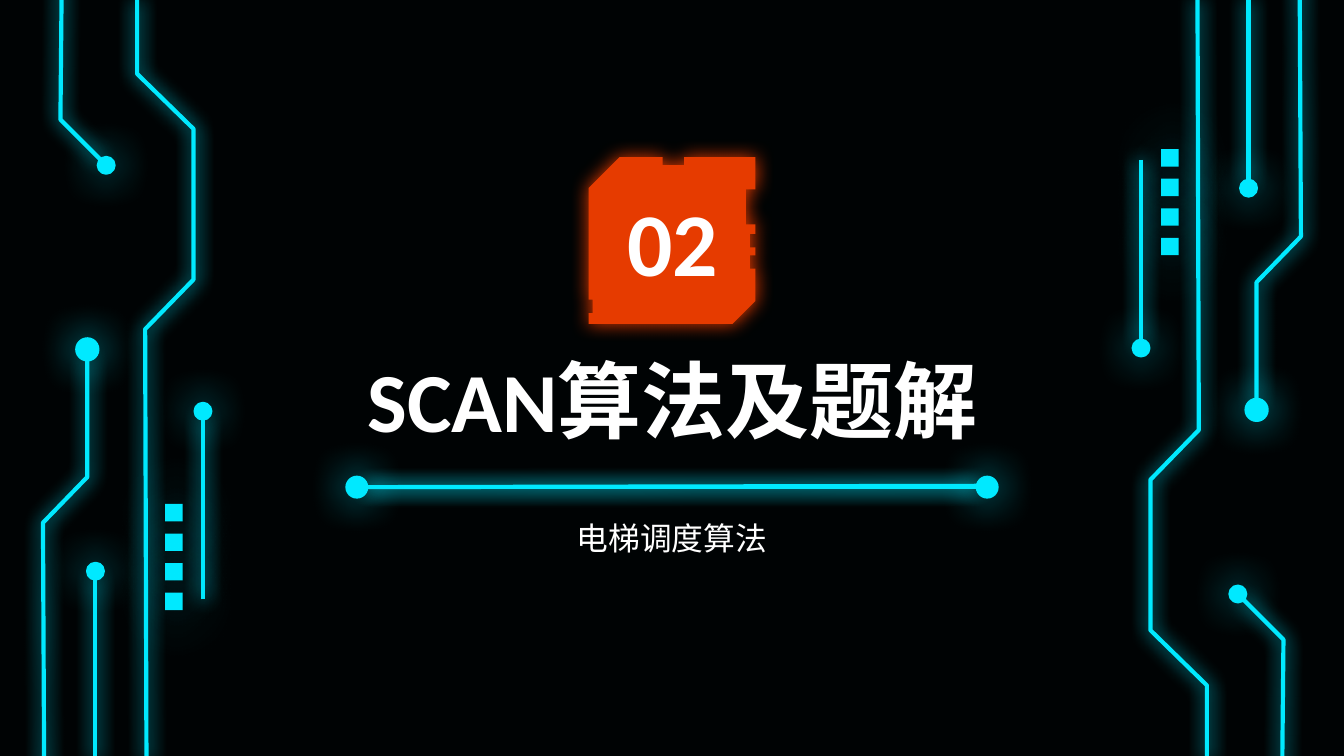
from lxml import etree
from pptx import Presentation
from pptx.dml.color import RGBColor
from pptx.enum import shapes, text
from pptx.oxml import ns
from pptx.util import Inches, Pt

COLORS = {"bg": "000304", "neon": "00E9FF", "badge": "E63B00", "text": "FFFFFF"}

# Circuit parts, relative to the left circuit box
TRACES = [
    [(1.09, 5.66), (1.08, 2.45), (1.44, 2.08), (1.44, 0.96), (1.02, 0.55), (1.02, 0)],
    [(0.71, 5.66), (0.71, 4.29)],
    [(0.46, -0.17), (0.45, 0.89), (0.75, 1.19)],
    [(0.33, 5.96), (0.32, 3.89), (0.65, 3.55), (0.65, 2.66)],
    [(1.51, 4.46), (1.51, 3.1)],
]
NODES = [(0.65, 2.6, 0.16), (0.79, 1.23, 0.12), (1.51, 3.06, 0.12), (0.71, 4.25, 0.12)]
PAD_X, PAD_Y, PAD_SIZE, PAD_STEP, PAD_COUNT = 1.23, 3.75, 0.13, 0.22, 4

BADGE = [
    (0.23, 0), (0, 0.23), (0, 1.06), (0.03, 1.06), (0.03, 1.16), (0, 1.16),
    (0, 1.24), (1.07, 1.24), (1.24, 1.07), (1.24, 0.83), (1.2, 0.83),
    (1.2, 0.73), (1.24, 0.73), (1.24, 0.67), (1.2, 0.67), (1.2, 0.57),
    (1.24, 0.57), (1.24, 0.5), (1.17, 0.5), (1.17, 0.24), (1.24, 0.24),
    (1.24, 0), (0.71, 0), (0.71, 0.06), (0.55, 0.06), (0.55, 0),
]


def rgb(name):
    return RGBColor.from_string(COLORS[name])


def glow(sp, color="neon", blur=10.1, alpha=100, dist=0):
    """Give a shape a coloured soft shadow; blur and dist are in points."""
    spPr = sp._element.spPr
    for old in spPr.findall(ns.qn("a:effectLst")):
        spPr.remove(old)
    effects = etree.SubElement(spPr, ns.qn("a:effectLst"))
    shadow = etree.SubElement(effects, ns.qn("a:outerShdw"), blurRad=str(Pt(blur)),
                              dist=str(Pt(dist)), dir="0", algn="ctr", rotWithShape="0")
    clr = etree.SubElement(shadow, ns.qn("a:srgbClr"), val=COLORS[color])
    etree.SubElement(clr, ns.qn("a:alpha"), val=str(alpha * 1000))


def outline(sp, width=2.25):
    sp.line.color.rgb = rgb("neon")
    sp.line.width = Pt(width)


def fill(sp, color="neon"):
    sp.fill.solid()
    sp.fill.fore_color.rgb = rgb(color)


def add_freeform(s, points, close):
    (x, y), *rest = [(Inches(px), Inches(py)) for px, py in points]
    builder = s.shapes.build_freeform(x, y)
    builder.add_line_segments(rest, close=close)
    return builder.convert_to_shape()


def add_trace(s, points):
    if len(points) == 2:
        (x1, y1), (x2, y2) = points
        sp = s.shapes.add_connector(shapes.MSO_CONNECTOR.STRAIGHT, Inches(x1),
                                    Inches(y1), Inches(x2), Inches(y2))
    else:
        sp = add_freeform(s, points, close=False)
        sp.fill.background()
    outline(sp)
    glow(sp)


def add_mark(s, kind, cx, cy, size):
    sp = s.shapes.add_shape(kind, Inches(cx - size / 2), Inches(cy - size / 2),
                            Inches(size), Inches(size))
    fill(sp)
    return sp


def add_node(s, cx, cy, size):
    sp = add_mark(s, shapes.MSO_SHAPE.OVAL, cx, cy, size)
    outline(sp, 1.5)
    glow(sp, blur=22.5)


def add_pad(s, cx, cy):
    sp = add_mark(s, shapes.MSO_SHAPE.RECTANGLE, cx, cy, PAD_SIZE)
    sp.line.fill.background()
    glow(sp, blur=36, alpha=70, dist=1.5)


def circuit(s, left, top, width, height, turned=False):
    """Draw the circuit in its box, turned by half a circle if asked."""
    def place(x, y):
        if turned:
            x, y = width - x, height - y
        return left + x, top + y

    for points in TRACES:
        add_trace(s, [place(*point) for point in points])
    for x, y, size in NODES:
        add_node(s, *place(x, y), size)
    for i in range(PAD_COUNT):
        add_pad(s, *place(PAD_X + PAD_SIZE / 2, PAD_Y + PAD_SIZE / 2 + i * PAD_STEP))


def set_text(sp, box, words, size, font, bold, anchor):
    sp.left, sp.top, sp.width, sp.height = (Inches(v) for v in box)
    tf = sp.text_frame
    tf.text = words
    tf.word_wrap = True
    tf.auto_size = text.MSO_AUTO_SIZE.NONE
    tf.vertical_anchor = anchor
    tf.margin_left = tf.margin_right = tf.margin_top = tf.margin_bottom = Inches(0.1)
    p = tf.paragraphs[0]
    p.alignment = text.PP_ALIGN.CENTER
    p.space_before = Pt(0)
    r = p.runs[0]
    r.font.size, r.font.name, r.font.bold = Pt(size), font, bold
    r.font.color.rgb = rgb("text")


def number_badge(s, left, top, number):
    sp = add_freeform(s, [(left + x, top + y) for x, y in BADGE], close=True)
    fill(sp, "badge")
    sp.line.fill.background()
    glow(sp, "badge")
    label = s.shapes.add_textbox(0, 0, 0, 0)
    set_text(label, (left - 1.96, top + 0.17, 5.17, 0.9), number, 48, "Calibri", True,
             text.MSO_ANCHOR.MIDDLE)


def headings(s, left, top, title, subtitle):
    set_text(s.shapes.title, (left, top, 5.17, 0.74), title, 45, "Calibri", True,
             text.MSO_ANCHOR.MIDDLE)
    set_text(s.placeholders[1], (left + 1.01, top + 1.16, 3.14, 0.51), subtitle, 17,
             "Roboto", False, text.MSO_ANCHOR.TOP)


def divider(s, left, top, width, node=0.15):
    """Draw a doubled glowing line between two nodes."""
    right, middle = left + width, top + node / 2
    for end_y in (middle - 0.01, middle):
        add_trace(s, [(left + node, middle), (right - node, end_y)])
    for cx in (left + node / 2, right - node / 2):
        add_node(s, cx, middle, node)


def main():
    prs = Presentation()
    prs.slide_width = Inches(10)
    prs.slide_height = prs.slide_width * 9 // 16
    s = prs.slides.add_slide(prs.slide_layouts[0])
    s.background.fill.solid()
    s.background.fill.fore_color.rgb = rgb("bg")
    circuit(s, 0, 0, 1.6, 5.65)
    circuit(s, 8.4, 0, 1.6, 5.65, turned=True)
    number_badge(s, 4.38, 1.17, "02")
    headings(s, 2.42, 2.6, "SCAN算法及题解", "电梯调度算法")
    divider(s, 2.58, 3.55, 4.84)
    prs.save("out.pptx")


if __name__ == "__main__":
    main()
